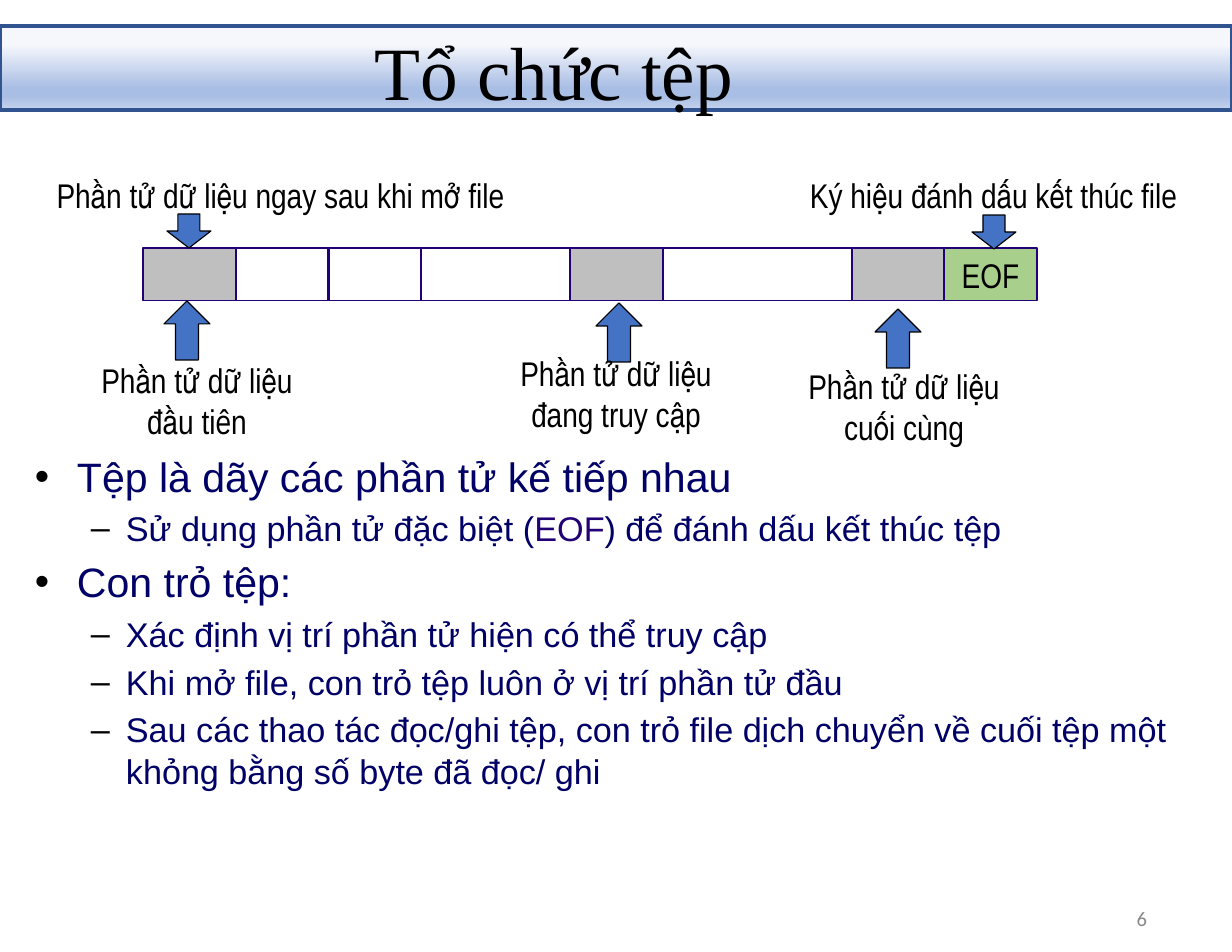
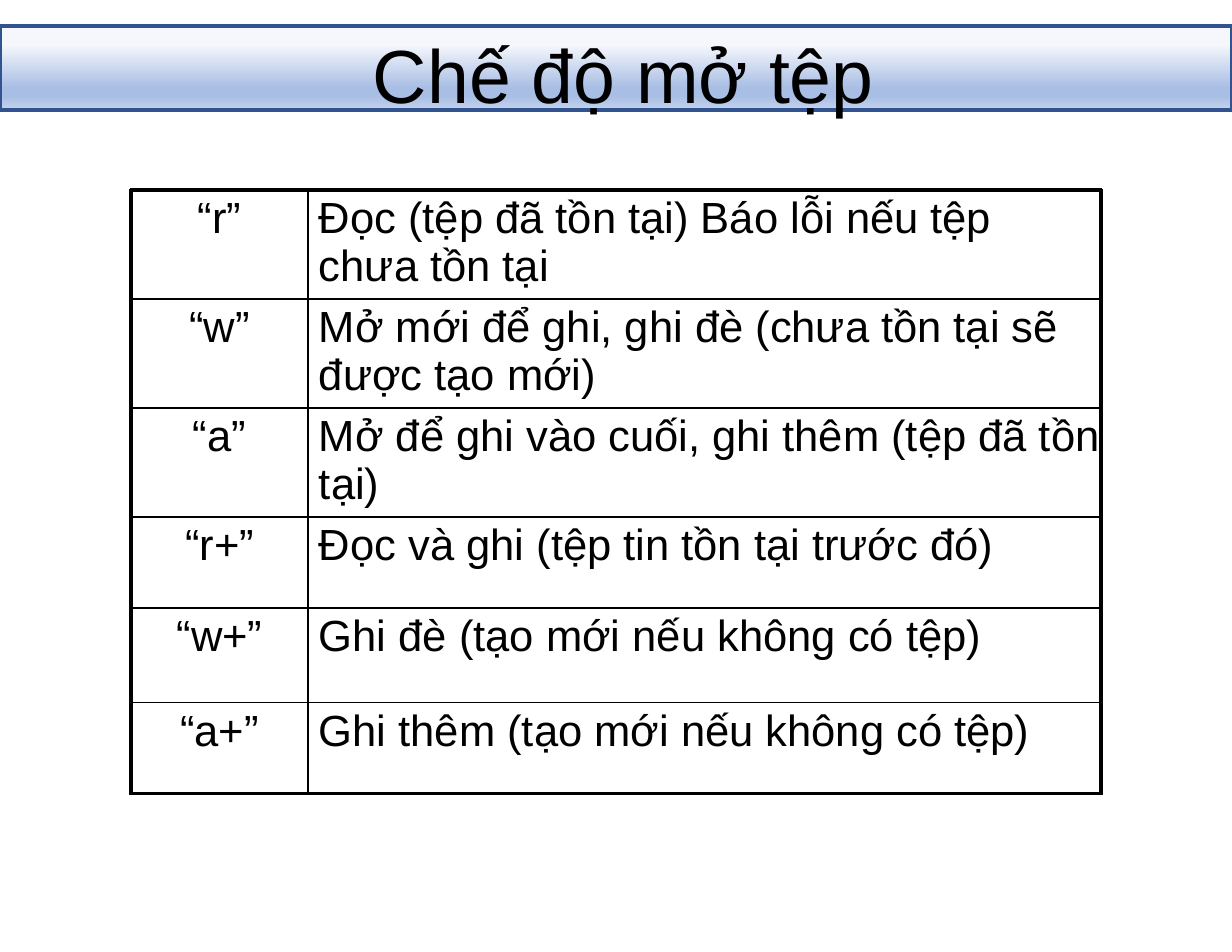
from lxml import etree
from pptx import Presentation
from pptx.dml.color import RGBColor
from pptx.enum.shapes import MSO_SHAPE
from pptx.enum.text import MSO_ANCHOR, MSO_AUTO_SIZE, PP_ALIGN
from pptx.oxml.ns import qn
from pptx.util import Pt

RECTANGLE = MSO_SHAPE.RECTANGLE
UP, DOWN = MSO_SHAPE.UP_ARROW, MSO_SHAPE.DOWN_ARROW
LEFT, CENTER, RIGHT = PP_ALIGN.LEFT, PP_ALIGN.CENTER, PP_ALIGN.RIGHT
MIDDLE, NO_FIT = MSO_ANCHOR.MIDDLE, MSO_AUTO_SIZE.NONE

PX = 914400 / 112
COLORS = {
    "black": "000000", "navy": "000066", "violet": "220076", "grey": "BFBFBF",
    "green": "A8D08C", "blue": "4472C4", "band line": "31538F", "number": "888888",
}
BAND_STOPS = [(0, "F5F7FC"), (22, "F5F7FC"), (74, "A9BEE4"), (83, "A9BEE4"), (100, "C5D3ED")]


def add_shape(page, kind, at, fill, line, width=0.75):
    shape = page.shapes.add_shape(kind, *[round(n * PX) for n in at])
    shape.shadow.inherit = False
    if fill:
        shape.fill.solid()
        shape.fill.fore_color.rgb = RGBColor.from_string(COLORS[fill])
    else:
        shape.fill.background()
    shape.line.color.rgb = RGBColor.from_string(COLORS[line])
    shape.line.width = Pt(width)
    return shape


def write(para, text, size, font, color="black", align=LEFT):
    """Set a paragraph's text; every | starts a new run."""
    para.alignment = align
    for part in text.split("|"):
        span = para.add_run()
        span.text = part
        span.font.size = Pt(size)
        span.font.name = font
        span.font.color.rgb = RGBColor.from_string(COLORS[color])


deck = Presentation()
deck.slide_width, deck.slide_height = round(1232 * PX), round(952 * PX)

# Band and title on both slides
pages = []
for title_text, font, at in [
    ("Tổ chức tệp", "Times New Roman", (375, 34, 433, 85)),
    ("Chế độ mở tệp", "Arial", (373, 29, 519, 88)),
]:
    page = deck.slides.add_slide(deck.slide_layouts[5])
    pages.append(page)
    band = add_shape(page, RECTANGLE, (0, 26, 1232, 84), None, "band line", 2)
    band.fill.gradient()
    band.fill.gradient_angle = 270
    stops = band.element.spPr.find(qn("a:gradFill")).find(qn("a:gsLst"))
    stops.clear()
    for position, color in BAND_STOPS:
        stop = etree.SubElement(stops, qn("a:gs"), pos=str(position * 1000))
        etree.SubElement(stop, qn("a:srgbClr"), val=color)

    title = page.shapes.title
    title.element.addprevious(band.element)
    title.left, title.top, title.width, title.height = [round(n * PX) for n in at]
    frame = title.text_frame
    frame.auto_size, frame.word_wrap, frame.vertical_anchor = NO_FIT, True, MIDDLE
    frame.margin_left = frame.margin_top = frame.margin_right = frame.margin_bottom = 0
    write(frame.paragraphs[0], title_text, 48.4, font)
    if font == "Times New Roman":
        frame.paragraphs[0].line_spacing = 0.9

file_page, mode_page = pages

# Bulleted text
box = file_page.shapes.add_textbox(*[round(n * PX) for n in (24, 446, 1190, 441)])
frame = box.text_frame
frame.word_wrap = True
points = [
    (0, "Tệp là dãy các phần tử kế tiếp nhau"),
    (1, "Sử dụng phần tử đặc biệt (|EOF|) để đánh dấu kết thúc tệp"),
    (0, "Con trỏ tệp:"),
    (1, "Xác định vị trí phần tử hiện có thể truy cập"),
    (1, "Khi mở file, con trỏ tệp luôn ở vị trí phần tử đầu"),
    (1, "Sau các thao tác đọc/ghi tệp, con trỏ file dịch chuyển về cuối tệp một "
        "khỏng bằng số byte đã đọc/ ghi"),
]
for index, (level, text) in enumerate(points):
    para = frame.add_paragraph() if index else frame.paragraphs[0]
    size, before, indent, hanging, bullet = [
        (26.4, 5.3, 42, 42, "•"), (22, 4.4, 91, 35, "–")][level]
    write(para, text, size, "Arial", "navy")
    para.level = level
    para.space_before = Pt(before if index else 0)
    if len(para.runs) > 1:
        para.runs[1].font.color.rgb = RGBColor.from_string(COLORS["violet"])
    properties = para._p.get_or_add_pPr()
    properties.set("marL", str(round(indent * PX)))
    properties.set("indent", str(round(-hanging * PX)))
    bullet_color = etree.SubElement(properties, qn("a:buClr"))
    etree.SubElement(bullet_color, qn("a:srgbClr"), val=COLORS["black"])
    etree.SubElement(properties, qn("a:buFont"), typeface="Arial")
    etree.SubElement(properties, qn("a:buChar"), char=bullet)

# File drawn as a strip of elements
for left, width, fill in [
    (143, 93, "grey"), (236, 93, None), (328, 93, None), (421, 431, None),
    (570, 93, "grey"), (852, 93, "grey"), (944, 93, "green"),
]:
    element = add_shape(file_page, RECTANGLE, (left, 248, width, 53), fill, "violet")
element.text_frame.word_wrap = True
write(element.text_frame.paragraphs[0], "EOF", 22, "Arial Narrow", align=CENTER)

for kind, at in [
    (UP, (164, 301, 46, 59)), (UP, (596, 303, 46, 59)), (UP, (875, 309, 46, 59)),
    (DOWN, (167, 214, 44, 34)), (DOWN, (972, 215, 44, 34)),
]:
    add_shape(file_page, kind, at, "blue", "black")

for text, at in [
    ("Phần tử dữ liệu ngay sau khi mở file", (24, 169, 513, 53)),
    ("Ký hiệu đánh dấu kết thúc file", (791, 169, 405, 53)),
    ("Phần tử dữ liệu đầu tiên", (74, 354, 246, 94)),
    ("Phần tử dữ liệu đang truy cập", (493, 347, 246, 94)),
    ("Phần tử dữ liệu cuối cùng", (781, 360, 246, 94)),
]:
    label = file_page.shapes.add_textbox(*[round(n * PX) for n in at])
    label.text_frame.word_wrap = True
    write(label.text_frame.paragraphs[0], text, 22, "Arial Narrow", align=CENTER)

number = file_page.shapes.add_textbox(*[round(n * PX) for n in (997, 893, 150, 50)])
frame = number.text_frame
frame.word_wrap, frame.vertical_anchor = True, MIDDLE
frame.margin_left = frame.margin_top = frame.margin_right = frame.margin_bottom = 0
write(frame.paragraphs[0], "6", 13.2, "Calibri", "number", RIGHT)

# Table of open modes: mode, meaning, row height, right margin
modes = [
    ("“r”", "Đọc (tệp đã tồn tại) Báo lỗi nếu tệp chưa tồn tại", 109, 40),
    ("“w”", "Mở mới để ghi, ghi đè (chưa tồn tại sẽ được tạo mới)", 109, 40),
    ("“a”", "Mở để ghi vào cuối, ghi thêm (tệp đã tồn tại)", 109, 0),
    ("“r+”", "Đọc và ghi (tệp tin tồn tại trước đó)", 91, 0),
    ("“w+”", "Ghi đè (tạo mới nếu không có tệp)", 95, 0),
    ("“a+”", "Ghi thêm (tạo mới nếu không có tệp)", 91, 0),
]
table = mode_page.shapes.add_table(
    len(modes), 2, *[round(n * PX) for n in (131, 190, 970, 604)]).table
table.first_row = table.horz_banding = False
for column, width in zip(table.columns, (177, 793)):
    column.width = round(width * PX)
last = len(modes) - 1
for row, (mode, meaning, height, right_margin) in enumerate(modes):
    table.rows[row].height = round(height * PX)
    for column, text in enumerate((mode, meaning)):
        cell = table.cell(row, column)
        cell.margin_left = round(column * 11 * PX)
        cell.margin_right = round(column * right_margin * PX)
        cell.margin_top, cell.margin_bottom = round(4 * PX), 0
        write(cell.text_frame.paragraphs[0], text, 28, "Arial",
              align=LEFT if column else CENTER)
        cell.fill.background()
        outer_sides = {"L": column == 0, "R": column == 1, "T": row == 0, "B": row == last}
        properties = cell._tc.get_or_add_tcPr()
        for order, (side, outer) in enumerate(outer_sides.items()):
            border = etree.Element(qn("a:ln" + side), w=str(Pt(2.25 if outer else 1)))
            fill = etree.SubElement(border, qn("a:solidFill"))
            etree.SubElement(fill, qn("a:srgbClr"), val=COLORS["black"])
            properties.insert(order, border)

deck.save("out.pptx")
